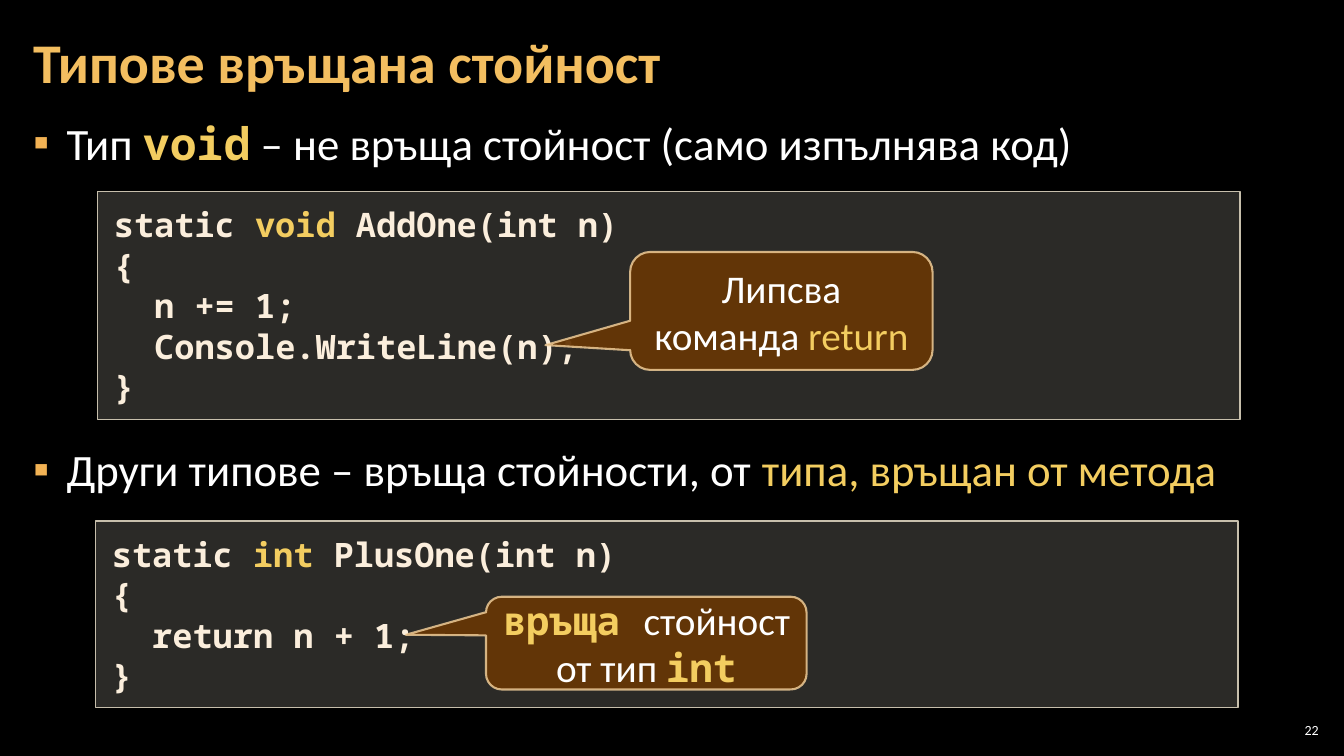
from lxml import etree
from pptx import Presentation
from pptx.dml.color import RGBColor
from pptx.enum.shapes import MSO_SHAPE
from pptx.enum.text import MSO_ANCHOR, PP_ALIGN
from pptx.oxml.ns import qn
from pptx.util import Inches, Pt

RECT = MSO_SHAPE.RECTANGLE
CALLOUT = MSO_SHAPE.ROUNDED_RECTANGULAR_CALLOUT
TOP, MID = MSO_ANCHOR.TOP, MSO_ANCHOR.MIDDLE
LEFT, CENTER, RIGHT = PP_ALIGN.LEFT, PP_ALIGN.CENTER, PP_ALIGN.RIGHT

# Content: paragraphs are lists of (text, style)
TITLE = ("Типове връщана стойност", "title")
PAGE = ("22", "page")
BULLETS = [
    (1.08, [("Тип ", "body"), ("void", "key"),
            (" – не връща стойност (само изпълнява код)", "body")]),
    (4.32, [("Други типове – връща стойности, от ", "body"),
            ("типа, връщан от метода", "mark")]),
]
CODES = [
    ((0.97, 1.9, 11.33, 2.26), [
        [("static ", "code"), ("void", "type"), (" AddOne(int n)", "code")],
        [("{", "code")],
        [("  n += 1;", "code")],
        [("  Console.WriteLine(n);", "code")],
        [("}", "code")]]),
    ((0.95, 5.17, 11.33, 1.85), [
        [("static ", "code"), ("int", "type"), (" PlusOne(int n)", "code")],
        [("{", "code")],
        [("  return n + 1;", "code")],
        [("}", "code")]]),
]
NOTES = [
    ((6.25, 2.5, 3, 1.17), (-0.78, 0.29, 0.17),
     [("Липсва команда ", "note"), ("return", "hint")]),
    ((4.82, 5.92, 3.18, 0.92), (-0.75, -0.09, 0.17),
     [("връща ", "word"), ("стойност от тип ", "note"), ("int", "word")]),
]

# Styles: font, size, colour, bold
SANS, MONO = "Calibri", "Noto Sans Mono"
WHITE, GOLD, CREAM = "FFFFFF", "F3CD60", "FBEEDC"
STYLES = {
    "title": (SANS, 40, "F3BE60", True),
    "page": (SANS, 10, WHITE, False),
    "body": (SANS, 32, WHITE, False),
    "mark": (SANS, 32, GOLD, False),
    "key": (MONO, 32, GOLD, True),
    "code": (MONO, 24, CREAM, True),
    "type": (MONO, 24, GOLD, True),
    "note": (SANS, 28, WHITE, False),
    "hint": (SANS, 28, GOLD, False),
    "word": (MONO, 28, GOLD, True),
}


def paint(color, code, alpha=100):
    color.rgb = RGBColor.from_string(code)
    if alpha < 100:
        tint = color._xFill.find(qn("a:srgbClr"))
        etree.SubElement(tint, qn("a:alpha"), val=str(alpha * 1000))


def write(shape, paras, pad, anchor=TOP, align=LEFT, space=1.0):
    frame = shape.text_frame
    side, edge = Inches(pad[0]), Inches(pad[1])
    look = {"word_wrap": True, "vertical_anchor": anchor,
            "margin_left": side, "margin_right": side,
            "margin_top": edge, "margin_bottom": edge}
    for name, value in look.items():
        setattr(frame, name, value)
    for i, runs in enumerate(paras):
        para = frame.add_paragraph() if i else frame.paragraphs[0]
        para.alignment, para.line_spacing = align, space
        for text, style in runs:
            run = para.add_run()
            run.text = text
            face, size, code, bold = STYLES[style]
            for name, value in {"name": face, "size": Pt(size), "bold": bold}.items():
                setattr(run.font, name, value)
            paint(run.font.color, code)


def text_box(box, runs, pad, **look):
    shape = slide.shapes.add_textbox(*map(Inches, box))
    write(shape, [runs], pad, **look)
    return shape


def panel(kind, box, fill, line, width):
    shape = slide.shapes.add_shape(kind, *map(Inches, box))
    shape.shadow.inherit = False
    shape.fill.solid()
    paint(shape.fill.fore_color, *fill)
    shape.line.fill.solid()
    paint(shape.line.fill.fore_color, *line)
    shape.line.width = Pt(width)
    return shape


def add_bullet(para):
    props = para._p.get_or_add_pPr()
    props.set("marL", str(Inches(0.33)))
    props.set("indent", str(-Inches(0.33)))
    color = etree.SubElement(props, qn("a:buClr"))
    etree.SubElement(color, qn("a:srgbClr"), val="F2B254")
    etree.SubElement(props, qn("a:buFont"), typeface=SANS)
    etree.SubElement(props, qn("a:buChar"), char="▪")


# Slide
deck = Presentation()
deck.slide_width, deck.slide_height = Inches(13.33), Inches(7.5)
slide = deck.slides.add_slide(deck.slide_layouts[6])
slide.background.fill.solid()
paint(slide.background.fill.fore_color, "000000")

# Title, page number and bullets
text_box((0.21, 0.04, 10.47, 1.21), [TITLE], (0.12, 0.04), anchor=MID, space=0.9)
text_box((12.65, 7.14, 0.47, 0.21), [PAGE], (0.04, 0.04), anchor=MID, align=RIGHT)
for top, runs in BULLETS:
    item = text_box((0.21, top, 12.91, 0.75), runs, (0.12, 0.04), space=1.05)
    add_bullet(item.text_frame.paragraphs[0])

# Code panels
for box, lines in CODES:
    shape = panel(RECT, box, ("D9D5C7", 20), ("C7BFAC",), 1)
    write(shape, lines, (0.16, 0.12), space=Pt(29))

# Callouts
for box, tail, runs in NOTES:
    shape = panel(CALLOUT, box, ("663606", 95), ("F8D49E", 80), 1.5)
    for i, value in enumerate(tail):
        shape.adjustments[i] = value
    write(shape, [runs], (0.1, 0.05), anchor=MID, align=CENTER)

deck.save("out.pptx")
